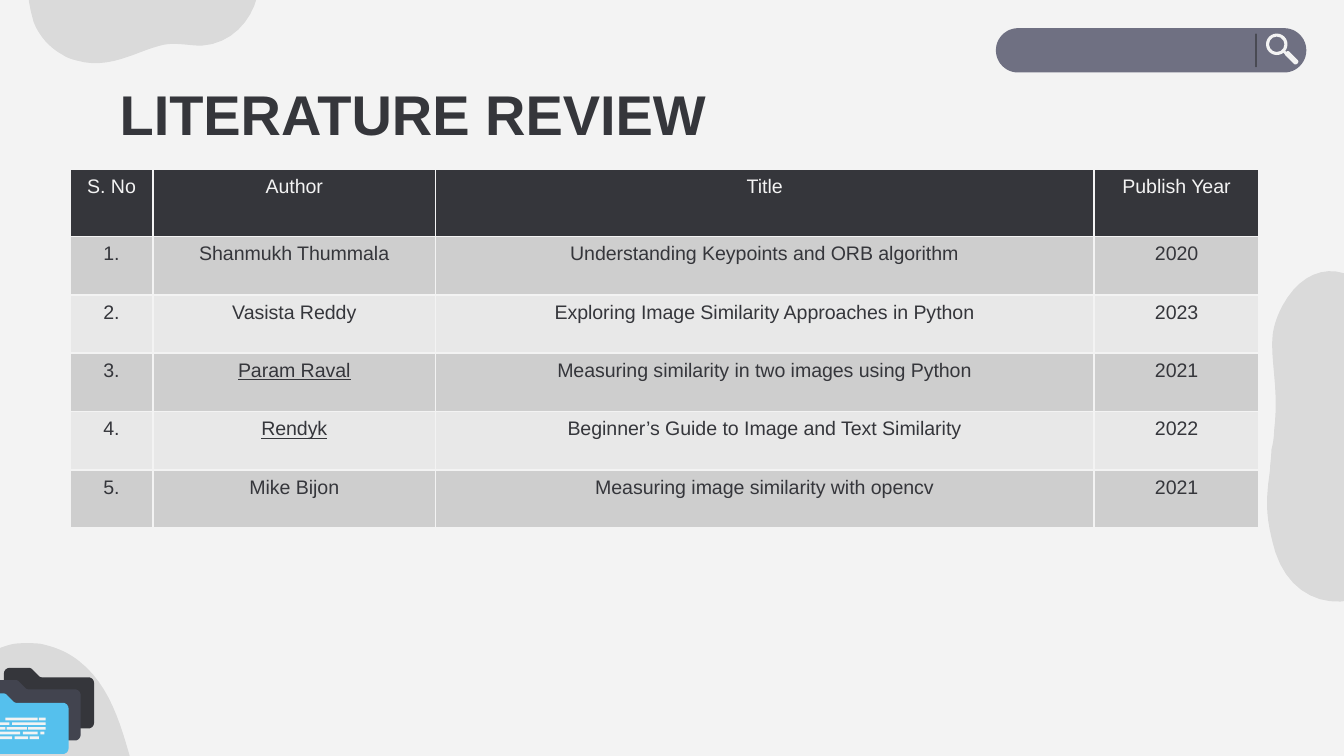
"""Build a literature review slide with a table and search-page decoration."""
from dataclasses import dataclass

from lxml import etree
from pptx import Presentation
from pptx import util as u
from pptx.dml.color import RGBColor
from pptx.enum import shapes, text
from pptx.oxml import ns

PAPER = RGBColor(0xF3, 0xF3, 0xF3)
INK = RGBColor(0x35, 0x36, 0x3B)
SLATE = RGBColor(0x42, 0x44, 0x4F)
SKY = RGBColor(0x55, 0xC0, 0xED)
BAR = RGBColor(0x6F, 0x70, 0x82)
BLACK = RGBColor(0, 0, 0)
BAND_DARK = RGBColor(0xCE, 0xCE, 0xCE)
BAND_LIGHT = RGBColor(0xE8, 0xE8, 0xE8)
FONT = "Arial"
CURVE_STEPS = 12

Point = tuple[float, float]


@dataclass(frozen=True)
class Outline:
    """A start point and segments: two numbers make a line, six a curve."""
    start: Point
    segments: tuple[tuple[float, ...], ...]

    def points(self) -> list[Point]:
        """Return the outline as a fine polygon."""
        found = [self.start]
        for segment in self.segments:
            if len(segment) == 2:
                found.append(segment)
                continue
            corners = [found[-1], segment[:2], segment[2:4], segment[4:]]
            for step in range(1, CURVE_STEPS + 1):
                t = step / CURVE_STEPS
                weights = ((1 - t) ** 3, 3 * t * (1 - t) ** 2, 3 * t * t * (1 - t), t ** 3)
                found.append(tuple(sum(w * c[axis] for w, c in zip(weights, corners))
                                   for axis in (0, 1)))
        return found


@dataclass(frozen=True)
class Preset:
    """A filled preset shape; lengths are inches."""
    kind: shapes.MSO_SHAPE
    left: float
    top: float
    width: float
    height: float
    color: RGBColor
    adjustment: float
    rotation: float = 0


@dataclass(frozen=True)
class Paper:
    """One row of the review table."""
    author: str
    title: str
    year: str
    underlined: bool = False


BLOBS = (
    Outline((0.47, 0.41), (
        (0.5, 0.43, 0.53, 0.44, 0.57, 0.45), (0.81, 0.52, 1, 0.39, 1.19, 0.34),
        (1.29, 0.31, 1.4, 0.34, 1.5, 0.34), (1.83, 0.32, 2, -0.05, 1.9, -0.29),
        (1.85, -0.42, 1.76, -0.52, 1.63, -0.59), (1.54, -0.64, 1.44, -0.67, 1.32, -0.7),
        (1.01, -0.77, 0.8, -0.82, 0.5, -0.67), (0.19, -0.52, 0.16, -0.13, 0.25, 0.16),
        (0.25, 0.16, 0.3, 0.32, 0.47, 0.41))),
    Outline((0.3, 4.79), (
        (0.39, 4.81, 0.49, 4.84, 0.59, 4.92), (0.82, 5.1, 0.9, 5.4, 0.97, 5.64),
        (1.04, 5.89, 0.94, 6.1, 0.74, 6.18), (0.69, 6.2, 0.64, 6.2, 0.6, 6.2),
        (0.47, 6.18, 0.36, 6.07, 0.17, 6.03), (0.11, 6.02, 0.05, 6.01, -0.01, 6),
        (-0.14, 5.98, -0.22, 5.96, -0.36, 5.83), (-0.56, 5.65, -0.54, 5.29, -0.33, 5.06),
        (-0.12, 4.82, 0.11, 4.79, 0.11, 4.79), (0.11, 4.79, 0.19, 4.78, 0.3, 4.79))),
    Outline((10.8, 3.49), (
        (10.82, 3.34, 10.82, 3.17, 10.77, 2.99), (10.67, 2.57, 10.39, 2.34, 10.17, 2.14),
        (9.95, 1.93, 9.69, 2, 9.54, 2.28), (9.5, 2.36, 9.48, 2.42, 9.47, 2.49),
        (9.45, 2.69, 9.52, 2.9, 9.48, 3.21), (9.48, 3.26, 9.47, 3.31, 9.46, 3.35),
        (9.46, 3.41, 9.45, 3.45, 9.45, 3.5), (9.42, 3.71, 9.41, 3.84, 9.49, 4.11),
        (9.61, 4.48, 9.98, 4.59, 10.3, 4.35), (10.61, 4.11, 10.73, 3.78, 10.73, 3.78),
        (10.73, 3.78, 10.77, 3.66, 10.8, 3.49))),
)
FOLDER = Outline((0.21, 0.01), (
    (0.26, 0.06), (0.27, 0.07, 0.28, 0.07, 0.29, 0.07), (0.63, 0.07),
    (0.65, 0.07, 0.67, 0.09, 0.67, 0.11), (0.67, 0.41), (0.67, 0.43, 0.65, 0.45, 0.63, 0.45),
    (0.04, 0.45), (0.02, 0.45, 0, 0.43, 0, 0.41), (0, 0.04), (0, 0.02, 0.02, 0, 0.04, 0),
    (0.18, 0), (0.19, 0, 0.2, 0, 0.21, 0.01)))
FOLDER_PLACES = ((0.03, 4.97, INK), (-0.07, 5.06, SLATE), (-0.16, 5.16, SKY))
DASH_ROWS = (
    ((0.04, 0.28), (0.29, 0.34)),
    ((0, 0.07), (0.09, 0.34)),
    ((0, 0.04), (0.05, 0.2), (0.21, 0.34)),
    ((0, 0.15), (0.17, 0.28), (0.3, 0.33)),
    ((0, 0.09), (0.11, 0.21), (0.22, 0.29)),
)
ROUNDED = shapes.MSO_SHAPE.ROUNDED_RECTANGLE
SEARCH_BAR = (
    Preset(ROUNDED, 7.41, 0.21, 2.31, 0.33, BAR, 0.5),
    Preset(shapes.MSO_SHAPE.DONUT, 9.42, 0.25, 0.16, 0.16, PAPER, 0.14),
    Preset(ROUNDED, 9.54, 0.39, 0.06, 0.02, PAPER, 0, 45),
    Preset(ROUNDED, 9.55, 0.41, 0.12, 0.04, PAPER, 0.4, 45),
    Preset(ROUNDED, 9.34, 0.25, 0.01, 0.25, INK, 0.5),
)
HEADINGS = ("S. No", "Author", "Title", "Publish Year")
COLUMN_WIDTHS = (0.62, 2.1, 4.9, 1.23)
PAPERS = (
    Paper("Shanmukh Thummala", "Understanding Keypoints and ORB algorithm", "2020"),
    Paper("Vasista Reddy", "Exploring Image Similarity Approaches in Python", "2023"),
    Paper("Param Raval", "Measuring similarity in two images using Python", "2021", True),
    Paper("Rendyk", "Beginner’s Guide to Image and Text Similarity", "2022", True),
    Paper("Mike Bijon", "Measuring image similarity with opencv", "2021"),
)


def paint(shape, color: RGBColor) -> None:
    """Give a shape a flat fill without line or shadow."""
    shape.shadow.inherit = False
    shape.fill.solid()
    shape.fill.fore_color.rgb = color
    shape.line.fill.background()


def draw_polygons(page, polygons: list[list[Point]], color: RGBColor):
    """Draw closed polygons as one freeform."""
    scaled = [[(u.Inches(x), u.Inches(y)) for x, y in polygon] for polygon in polygons]
    builder = page.shapes.build_freeform(*scaled[0][0])
    for number, polygon in enumerate(scaled):
        if number:
            builder.move_to(*polygon[0])
        builder.add_line_segments(polygon[1:], close=True)
    shape = builder.convert_to_shape()
    paint(shape, color)
    return shape


def draw_blob(page, outline: Outline) -> None:
    """Draw a blob in ten-percent black."""
    shape = draw_polygons(page, [outline.points()], BLACK)
    color = shape.fill._xPr.find(".//" + ns.qn("a:srgbClr"))
    etree.SubElement(color, ns.qn("a:alpha"), val="10000")


def draw_preset(page, item: Preset) -> None:
    """Draw one preset shape."""
    shape = page.shapes.add_shape(item.kind, *map(
        u.Inches, (item.left, item.top, item.width, item.height)))
    shape.adjustments[0] = item.adjustment
    shape.rotation = item.rotation
    paint(shape, item.color)


def draw_folders(page) -> None:
    """Draw the stacked folders and the dashes on the front one."""
    for left, top, color in FOLDER_PLACES:
        draw_polygons(page, [[(left + x, top + y) for x, y in FOLDER.points()]], color)
    dashes = []
    for number, row in enumerate(DASH_ROWS):
        top = 5.34 + number * 0.14 / 4
        bottom = top + 0.02
        dashes += [[(a, top), (b, top), (b, bottom), (a, bottom)] for a, b in row]
    draw_polygons(page, dashes, PAPER)


def format_cell(cell, words: str, fill: RGBColor, color: RGBColor,
                underlined: bool = False) -> None:
    """Fill one table cell and set its borders."""
    cell.text = words
    para = cell.text_frame.paragraphs[0]
    para.alignment = text.PP_ALIGN.CENTER
    para.runs[0].font.underline = underlined or None
    font = para.font
    font.name, font.size, font.color.rgb = FONT, u.Pt(10.5), color
    properties = cell._tc.get_or_add_tcPr()
    for side in "LRTB":
        line = etree.SubElement(properties, ns.qn("a:ln" + side), w=str(u.Pt(1)))
        solid = etree.SubElement(line, ns.qn("a:solidFill"))
        etree.SubElement(solid, ns.qn("a:srgbClr"), val=str(PAPER))
    cell.fill.solid()
    cell.fill.fore_color.rgb = fill


def draw_table(page) -> None:
    """Draw the review table."""
    table = page.shapes.add_table(len(PAPERS) + 1, len(HEADINGS), *map(
        u.Inches, (0.52, 1.26, 8.85, 2.67))).table
    table.first_row = table.horz_banding = False
    for column, width in zip(table.columns, COLUMN_WIDTHS):
        column.width = u.Inches(width)
    for row in table.rows:
        row.height = u.Inches((2.67 - 0.5) / len(PAPERS))
    table.rows[0].height = u.Inches(0.5)
    for column, heading in enumerate(HEADINGS):
        format_cell(table.cell(0, column), heading, INK, PAPER)
    for number, paper in enumerate(PAPERS, 1):
        band = BAND_DARK if number % 2 else BAND_LIGHT
        for column, words in enumerate((f"{number}.", paper.author, paper.title, paper.year)):
            format_cell(table.cell(number, column), words, band, INK,
                        underlined=paper.underlined and column == 1)


def draw_title(page) -> None:
    """Place and format the title."""
    box = page.shapes.title
    box.left, box.top, box.width, box.height = map(u.Inches, (0.79, 0.49, 8.43, 0.63))
    frame = box.text_frame
    frame.text = "LITERATURE REVIEW"
    frame.auto_size = text.MSO_AUTO_SIZE.NONE
    frame.vertical_anchor = text.MSO_ANCHOR.TOP
    frame.margin_left = frame.margin_top = frame.margin_right = frame.margin_bottom = u.Inches(0.1)
    para = frame.paragraphs[0]
    para.alignment = text.PP_ALIGN.LEFT
    font = para.font
    font.name, font.size, font.bold, font.color.rgb = FONT, u.Pt(30), True, INK


def main() -> None:
    """Build and save the deck."""
    deck = Presentation()
    deck.slide_width = u.Inches(10)
    deck.slide_height = deck.slide_width * 9 // 16
    page = deck.slides.add_slide(deck.slide_layouts[5])
    page.background.fill.solid()
    page.background.fill.fore_color.rgb = PAPER
    for blob in BLOBS:
        draw_blob(page, blob)
    for item in SEARCH_BAR:
        draw_preset(page, item)
    draw_folders(page)
    draw_title(page)
    draw_table(page)
    deck.save("out.pptx")


if __name__ == "__main__":
    main()
